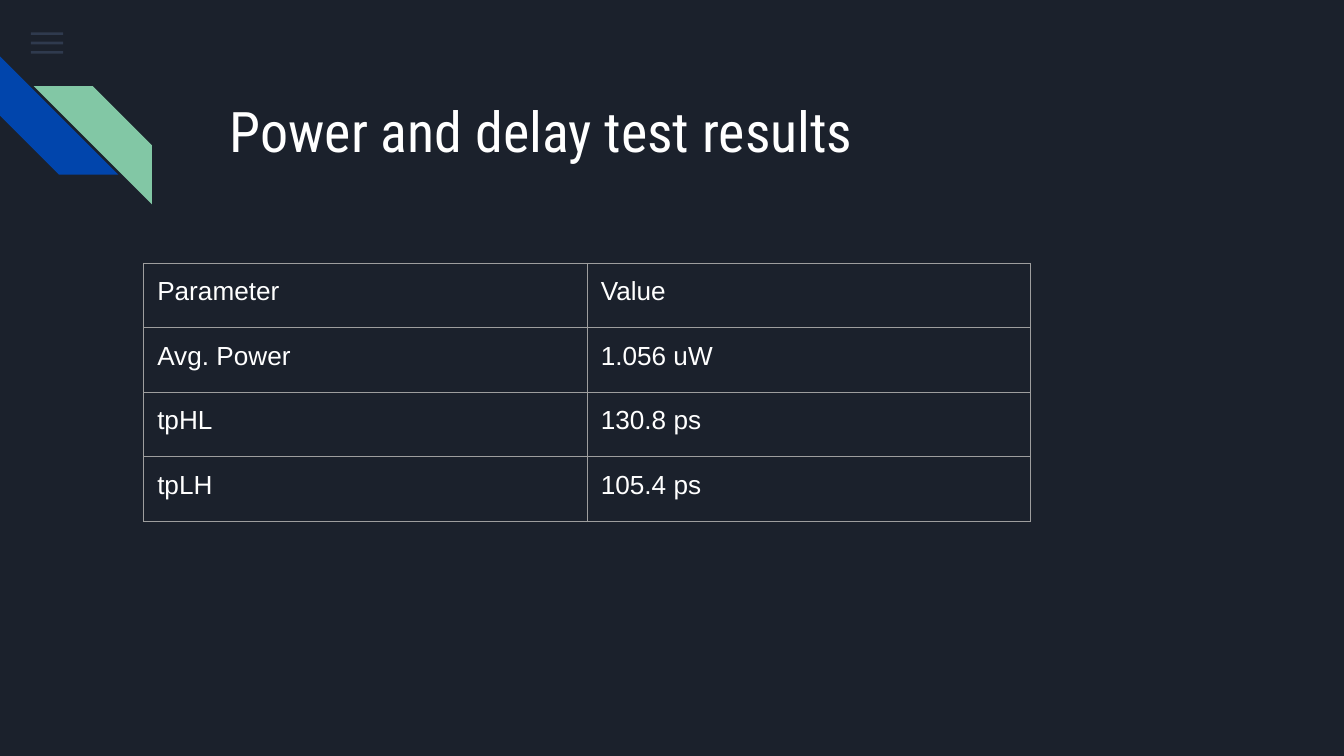
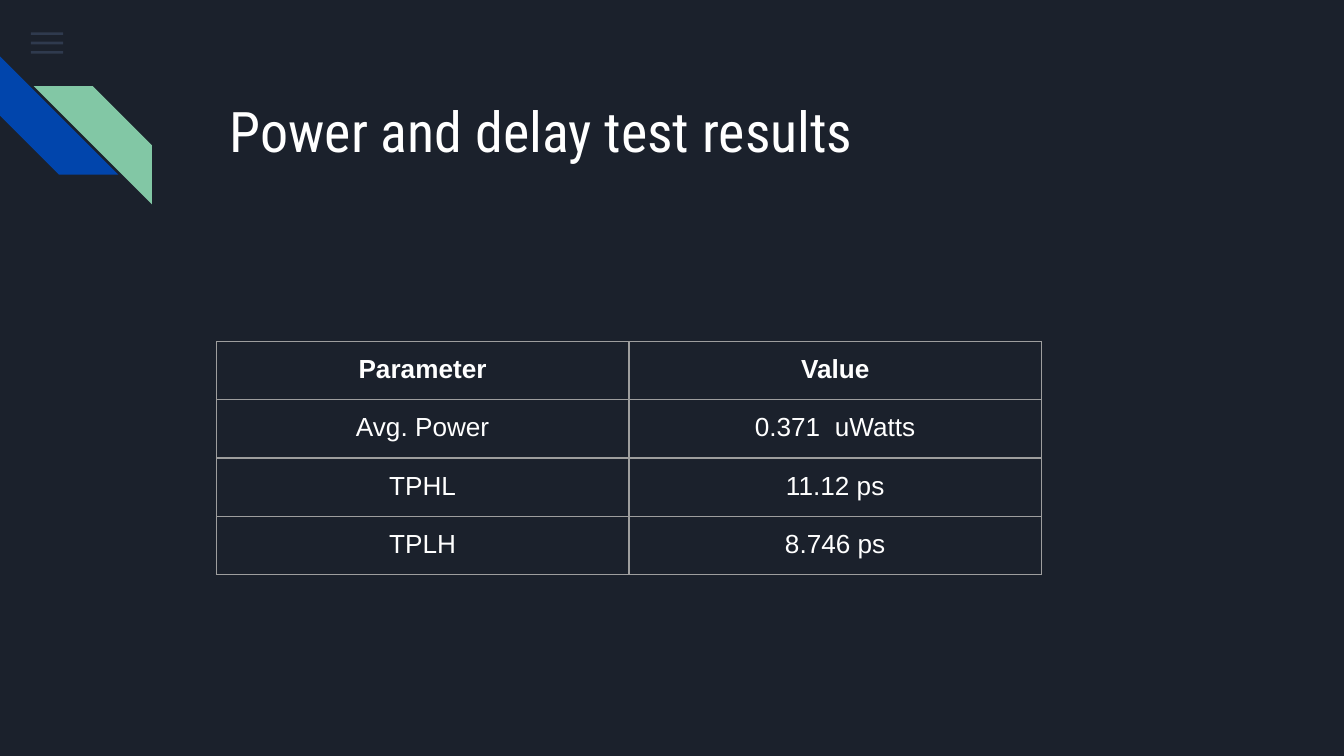
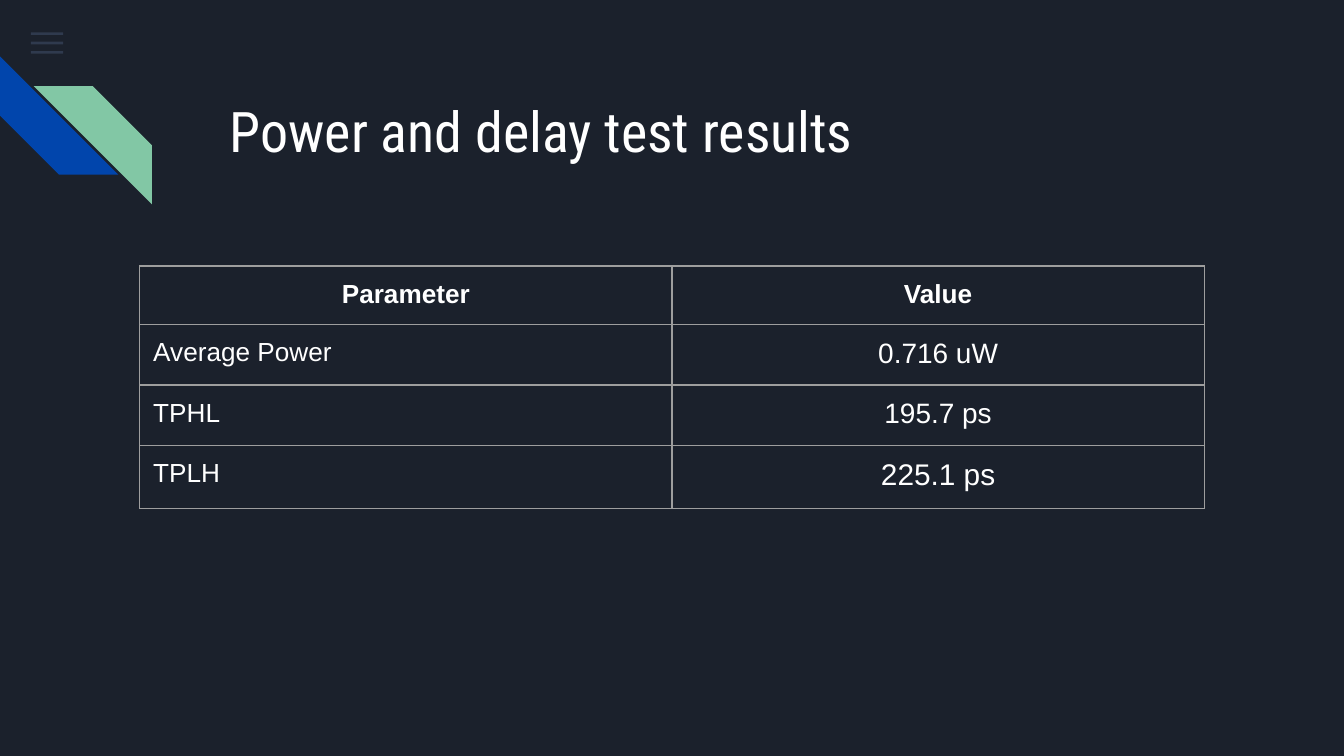
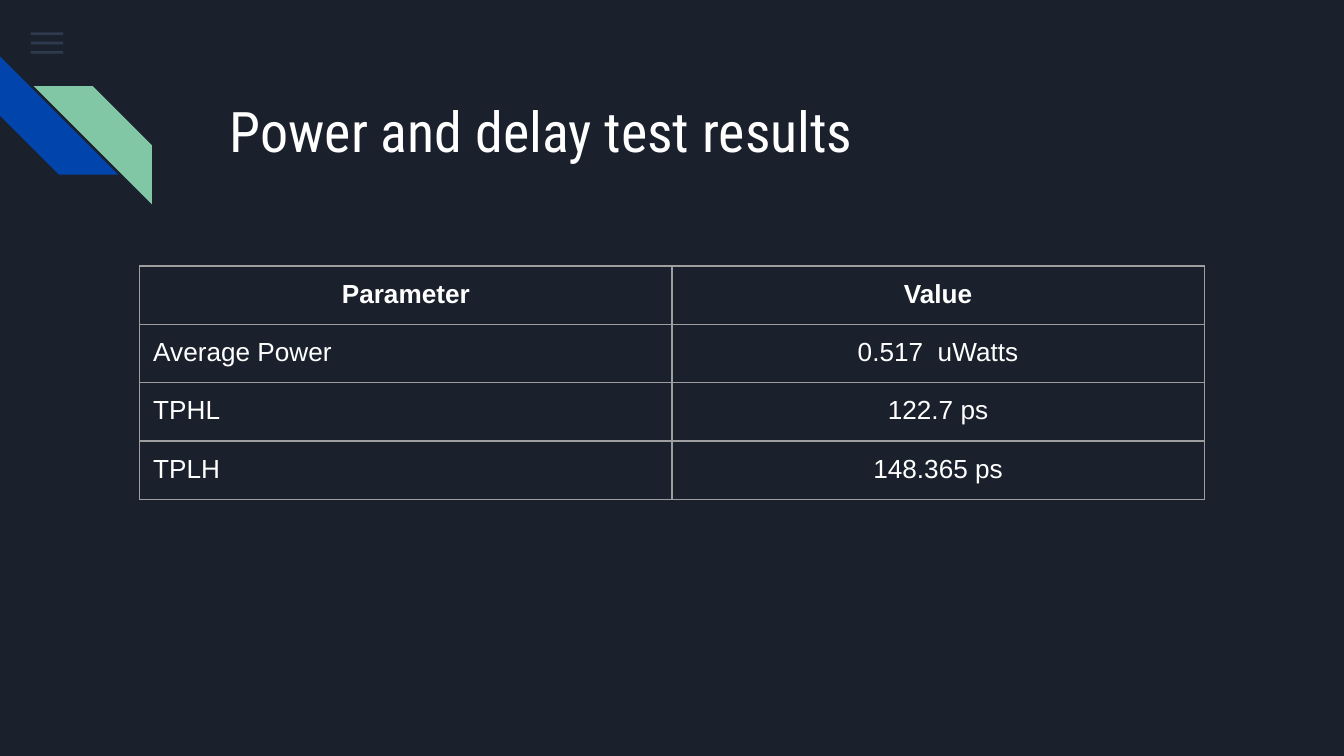
from lxml import etree
from pptx import Presentation
from pptx.dml.color import RGBColor
from pptx.enum.shapes import MSO_SHAPE
from pptx.enum.text import MSO_ANCHOR, MSO_AUTO_SIZE, PP_ALIGN
from pptx.oxml.ns import qn
from pptx.util import Inches, Pt

RECTANGLE = MSO_SHAPE.RECTANGLE
STRIPE = MSO_SHAPE.DIAGONAL_STRIPE
TOP = MSO_ANCHOR.TOP
GROW = MSO_AUTO_SIZE.SHAPE_TO_FIT_TEXT
LEFT = PP_ALIGN.LEFT
CENTER = PP_ALIGN.CENTER

NAVY = RGBColor(0x1B, 0x21, 0x2C)
SLATE = RGBColor(0x55, 0x68, 0x8B)
BLUE = RGBColor(0x01, 0x45, 0xAC)
GREEN = RGBColor(0x82, 0xC7, 0xA5)
WHITE = RGBColor(0xFF, 0xFF, 0xFF)
GRAY = RGBColor(0x9E, 0x9E, 0x9E)

SLIDE_WIDTH = 10
SLIDE_HEIGHT = SLIDE_WIDTH * 9 / 16
TITLE = "Power and delay test results"
TITLE_FONT = "Roboto Condensed"
BODY_FONT = "Arial"
INSET = Inches(0.1)
STRIPE_SIZE = 0.88
TITLE_ONLY = 5


def add_run(paragraph, text, font_name, size, bold=False):
    """Add a white run of text to a paragraph."""
    run = paragraph.add_run()
    run.text = text
    run.font.name = font_name
    run.font.size = Pt(size)
    run.font.bold = bold
    run.font.color.rgb = WHITE


def set_insets(target):
    """Give a cell or text frame equal insets on all sides."""
    target.margin_left = target.margin_right = INSET
    target.margin_top = target.margin_bottom = INSET


def add_filled_shape(slide, kind, left, top, width, height, color):
    """Add a plain filled shape without line or shadow."""
    shape = slide.shapes.add_shape(
        kind, Inches(left), Inches(top), Inches(width), Inches(height))
    shape.fill.solid()
    shape.fill.fore_color.rgb = color
    shape.line.fill.background()
    shape.shadow.inherit = False
    return shape


def add_menu_bar(slide, top):
    """Add one translucent bar of the menu icon."""
    bar = add_filled_shape(slide, RECTANGLE, 0.23, top, 0.24, 0.02, SLATE)
    color = bar.element.spPr.find(f"{qn('a:solidFill')}/{qn('a:srgbClr')}")
    etree.SubElement(color, qn("a:alpha")).set("val", "36000")
    return bar


def add_stripe(slide, left, top, color):
    """Add one diagonal corner stripe."""
    stripe = add_filled_shape(
        slide, STRIPE, left, top, STRIPE_SIZE, STRIPE_SIZE, color)
    stripe.adjustments[0] = 0.5
    return stripe


def move_to_layout(layout, shapes):
    """Move shapes from a slide to the back of its layout."""
    for index, shape in enumerate(shapes):
        shape.element.nvSpPr.cNvPr.set("id", str(100 + index))
        layout.shapes.element.insert(2 + index, shape.element)


def decorate_layout(layout, slide):
    """Place the menu icon and corner stripes on the shared layout."""
    bars = [add_menu_bar(slide, 0.24 + 0.07 * index) for index in range(3)]
    blue_stripe = add_stripe(slide, 0, 0.42, BLUE)
    blue_stripe.rotation = 270
    green_stripe = add_stripe(slide, 0.25, 0.64, GREEN)
    green_stripe.element.spPr.find(qn("a:xfrm")).set("flipH", "1")
    move_to_layout(layout, bars + [blue_stripe, green_stripe])


def add_title(slide, width, height):
    """Fill and place the title placeholder."""
    title = slide.shapes.title
    title.left, title.top = Inches(1.61), Inches(0.62)
    title.width, title.height = Inches(width), Inches(height)
    frame = title.text_frame
    set_insets(frame)
    frame.word_wrap = True
    frame.vertical_anchor = TOP
    frame.auto_size = GROW
    paragraph = frame.paragraphs[0]
    paragraph.alignment = LEFT
    add_run(paragraph, TITLE, TITLE_FONT, 30)


def set_borders(cell):
    """Draw thin gray borders around a cell."""
    properties = cell._tc.get_or_add_tcPr()
    for side in ("a:lnL", "a:lnR", "a:lnT", "a:lnB"):
        line = etree.SubElement(properties, qn(side), w=str(Pt(0.75)))
        fill = etree.SubElement(line, qn("a:solidFill"))
        etree.SubElement(fill, qn("a:srgbClr"), val=str(GRAY))


def fill_cell(cell, text, size, bold, alignment):
    """Write and format one table cell."""
    set_borders(cell)
    cell.fill.background()
    set_insets(cell)
    paragraph = cell.text_frame.paragraphs[0]
    paragraph.alignment = alignment
    add_run(paragraph, text, BODY_FONT, size, bold)


def add_results_table(slide, position, column_width, row_height, results,
                      bold_header=True, label_alignment=LEFT,
                      value_alignment=CENTER, value_sizes=(14, 14, 14)):
    """Add a table of parameters and measured values."""
    rows = [("Parameter", "Value")] + results
    left, top = position
    table = slide.shapes.add_table(
        len(rows), 2, Inches(left), Inches(top),
        Inches(2 * column_width), Inches(len(rows) * row_height)).table
    table.first_row = False
    table.horz_banding = False
    for column in table.columns:
        column.width = Inches(column_width)
    for index, (label, value) in enumerate(rows):
        table.rows[index].height = Inches(row_height)
        is_header = index == 0
        bold = is_header and bold_header
        size = 14 if is_header else value_sizes[index - 1]
        fill_cell(table.cell(index, 0), label, 14, bold,
                  value_alignment if is_header else label_alignment)
        fill_cell(table.cell(index, 1), value, size, bold, value_alignment)


def main():
    """Build the four result slides."""
    presentation = Presentation()
    presentation.slide_width = Inches(SLIDE_WIDTH)
    presentation.slide_height = Inches(SLIDE_HEIGHT)
    background = presentation.slide_master.background.fill
    background.solid()
    background.fore_color.rgb = NAVY
    layout = presentation.slide_layouts[TITLE_ONLY]
    slides = [presentation.slides.add_slide(layout) for _ in range(4)]
    decorate_layout(layout, slides[0])

    title_sizes = [(5.76, 1.04)] * 2 + [(6.46, 1.21)] * 2
    for slide, (width, height) in zip(slides, title_sizes):
        add_title(slide, width, height)

    add_results_table(
        slides[0], (1.07, 1.96), 3.3, 0.48,
        [("Avg. Power", "1.056 uW"), ("tpHL", "130.8 ps"),
         ("tpLH", "105.4 ps")],
        bold_header=False, value_alignment=LEFT)
    add_results_table(
        slides[1], (1.61, 2.54), 3.07, 0.35,
        [("Avg. Power", "0.371  uWatts"), ("TPHL", "11.12 ps"),
         ("TPLH", "8.746 ps")],
        label_alignment=CENTER)
    add_results_table(
        slides[2], (1.04, 1.98), 3.96, 0.42,
        [("Average Power", "0.716 uW"), ("TPHL", "195.7 ps"),
         ("TPLH", "225.1 ps")],
        value_sizes=(15, 15, 16))
    add_results_table(
        slides[3], (1.04, 1.98), 3.96, 0.42,
        [("Average Power", "0.517  uWatts"), ("TPHL", "122.7 ps"),
         ("TPLH", "148.365 ps")])
    presentation.save("out.pptx")


if __name__ == "__main__":
    main()
